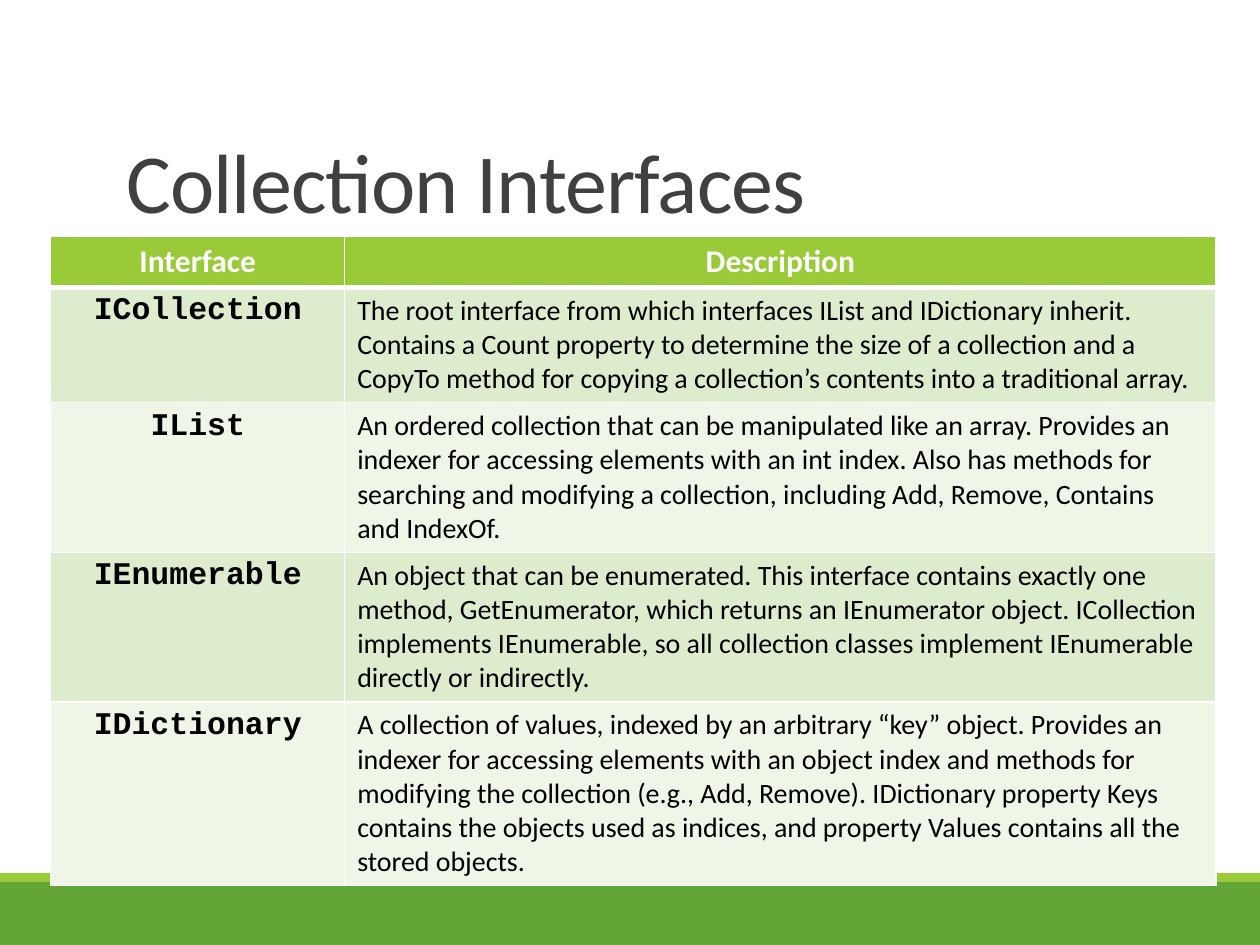
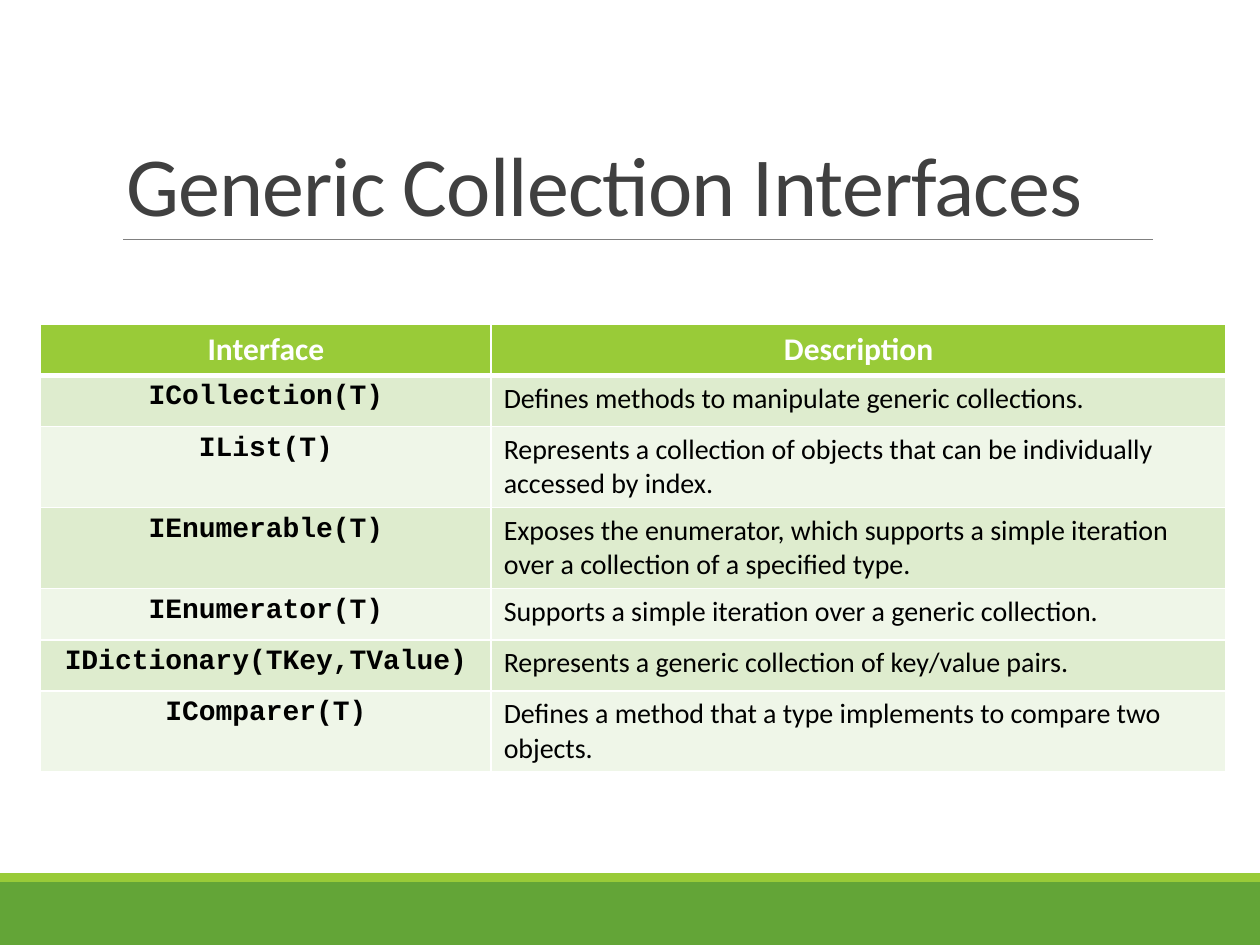
from lxml import etree
from pptx import Presentation
from pptx.dml.color import RGBColor
from pptx.enum.shapes import MSO_CONNECTOR, MSO_SHAPE
from pptx.enum.text import MSO_ANCHOR, MSO_AUTO_SIZE, PP_ALIGN
from pptx.oxml import parse_xml
from pptx.oxml.ns import nsdecls, qn
from pptx.util import Pt

RECT = MSO_SHAPE.RECTANGLE
STRAIGHT = MSO_CONNECTOR.STRAIGHT
LEFT, CENTER = PP_ALIGN.LEFT, PP_ALIGN.CENTER
BOTTOM = MSO_ANCHOR.BOTTOM
NO_FIT = MSO_AUTO_SIZE.NONE

GREEN = RGBColor(0x63, 0xA5, 0x37)
LIME = RGBColor(0x99, 0xCB, 0x38)
TINTS = RGBColor(0xDE, 0xEC, 0xCE), RGBColor(0xEF, 0xF6, 0xE8)
DARK = RGBColor(0x40, 0x40, 0x40)
GRAY = RGBColor(0x80, 0x80, 0x80)
BLACK = RGBColor(0, 0, 0)
WHITE = RGBColor(255, 255, 255)

SANS, MONO = "Calibri", "Courier New"
WIDTH, HEIGHT = 720, 540
HEAD = "Interface", "Description"

# Each row: name, description, number of text lines
BASIC = [
    ("ICollection", "The root interface from which interfaces IList and "
     "IDictionary inherit. Contains a Count property to determine the size "
     "of a collection and a CopyTo method for copying a collection’s "
     "contents into a traditional array.", 3),
    ("IList", "An ordered collection that can be manipulated like an array. "
     "Provides an indexer for accessing elements with an int index. Also has "
     "methods for searching and modifying a collection, including Add, "
     "Remove, Contains and IndexOf.", 4),
    ("IEnumerable", "An object that can be enumerated. This interface "
     "contains exactly one method, GetEnumerator, which returns an "
     "IEnumerator object. ICollection implements IEnumerable, so all "
     "collection classes implement IEnumerable directly or indirectly.", 4),
    ("IDictionary", "A collection of values, indexed by an arbitrary “key” "
     "object. Provides an indexer for accessing elements with an object "
     "index and methods for modifying the collection (e.g., Add, Remove). "
     "IDictionary property Keys contains the objects used as indices, and "
     "property Values contains all the stored objects.", 5),
]
GENERIC = [
    ("ICollection(T)", "Defines methods to manipulate generic collections.", 1),
    ("IList(T)", "Represents a collection of objects that can be "
     "individually accessed by index.", 2),
    ("IEnumerable(T)", "Exposes the enumerator, which supports a simple "
     "iteration over a collection of a specified type.", 2),
    ("IEnumerator(T)", "Supports a simple iteration over a generic "
     "collection.", 1),
    ("IDictionary(TKey,TValue)", "Represents a generic collection of "
     "key/value pairs.", 1),
    ("IComparer(T)", "Defines a method that a type implements to compare two "
     "objects.", 2),
]


def style(para, face, size, color, bold=False, align=LEFT):
    para.alignment = align
    font = para.font
    font.name, font.size, font.bold = face, Pt(size), bold
    font.color.rgb = color


def add_band(slide, top, height, color):
    band = slide.shapes.add_shape(RECT, 0, Pt(top), Pt(WIDTH), Pt(height))
    band.shadow.inherit = False
    band.fill.solid()
    band.fill.fore_color.rgb = color
    band.line.fill.background()


def add_rule(slide, left, right, y):
    rule = slide.shapes.add_connector(STRAIGHT, Pt(left), Pt(y), Pt(right), Pt(y))
    rule.line.color.rgb = GRAY
    rule.line.width = Pt(0.5)
    etree.SubElement(rule._element.spPr, qn("a:effectLst"))


def add_page(deck, title, top):
    """Add a slide with the shared bands, rule and title."""
    slide = deck.slides.add_slide(deck.slide_layouts[5])
    add_band(slide, 504, HEIGHT - 504, GREEN)
    add_band(slide, 499, 5, LIME)
    add_rule(slide, 70.5, 659, 137)

    box = slide.shapes.title
    box.left, box.top, box.width, box.height = Pt(65), Pt(top), Pt(594), Pt(114.5)
    frame = box.text_frame
    frame.text = title
    frame.auto_size = NO_FIT
    frame.vertical_anchor = BOTTOM
    para = frame.paragraphs[0]
    para.line_spacing = 0.85
    style(para, SANS, 48, DARK)
    para.runs[0]._r.get_or_add_rPr().set("spc", "-50")
    return slide


def set_edges(cell, top, bottom):
    """Draw white borders; top and bottom are widths in points."""
    props = cell._tc.get_or_add_tcPr()
    widths = {"lnL": 1, "lnR": 1, "lnT": top, "lnB": bottom}
    for spot, (tag, width) in enumerate(widths.items()):
        props.insert(spot, parse_xml(
            f'<a:{tag} {nsdecls("a")} w="{Pt(width)}"><a:solidFill>'
            f'<a:srgbClr val="{WHITE}"/></a:solidFill></a:{tag}>'))


def fill_cell(cell, text, fill, *look, top=1, bottom=1):
    cell.text = text
    cell.fill.solid()
    cell.fill.fore_color.rgb = fill
    style(cell.text_frame.paragraphs[0], *look)
    set_edges(cell, top, bottom)


def add_grid(slide, left, top, cols, rows, size):
    """Add the interface table; size is the font size of the names."""
    heights = [29.2] + [max(29.2, 19.2 * lines + 7.2) for *_, lines in rows]
    grid = slide.shapes.add_table(
        len(heights), len(cols), Pt(left), Pt(top),
        Pt(sum(cols)), Pt(sum(heights))).table
    for col, width in zip(grid.columns, cols):
        col.width = Pt(width)
    for row, height in zip(grid.rows, heights):
        row.height = Pt(height)

    for col, label in enumerate(HEAD):
        fill_cell(grid.cell(0, col), label, LIME,
                  SANS, 18, WHITE, True, CENTER, bottom=3)
    for row, (name, about, _) in enumerate(rows, 1):
        tint = TINTS[(row - 1) % 2]
        edge = 3 if row == 1 else 1
        fill_cell(grid.cell(row, 0), name, tint,
                  MONO, size, BLACK, True, CENTER, top=edge)
        fill_cell(grid.cell(row, 1), about, tint, SANS, 16, BLACK, top=edge)


def main():
    deck = Presentation()
    deck.slide_width, deck.slide_height = Pt(WIDTH), Pt(HEIGHT)

    slide = add_page(deck, "Collection Interfaces", 21)
    add_grid(slide, 29, 135, (168, 498), BASIC, 18)

    slide = add_page(deck, "Generic Collection Interfaces", 22.5)
    add_grid(slide, 23.2, 185.3, (257.5, 420), GENERIC, 16)

    deck.save("out.pptx")


if __name__ == "__main__":
    main()
